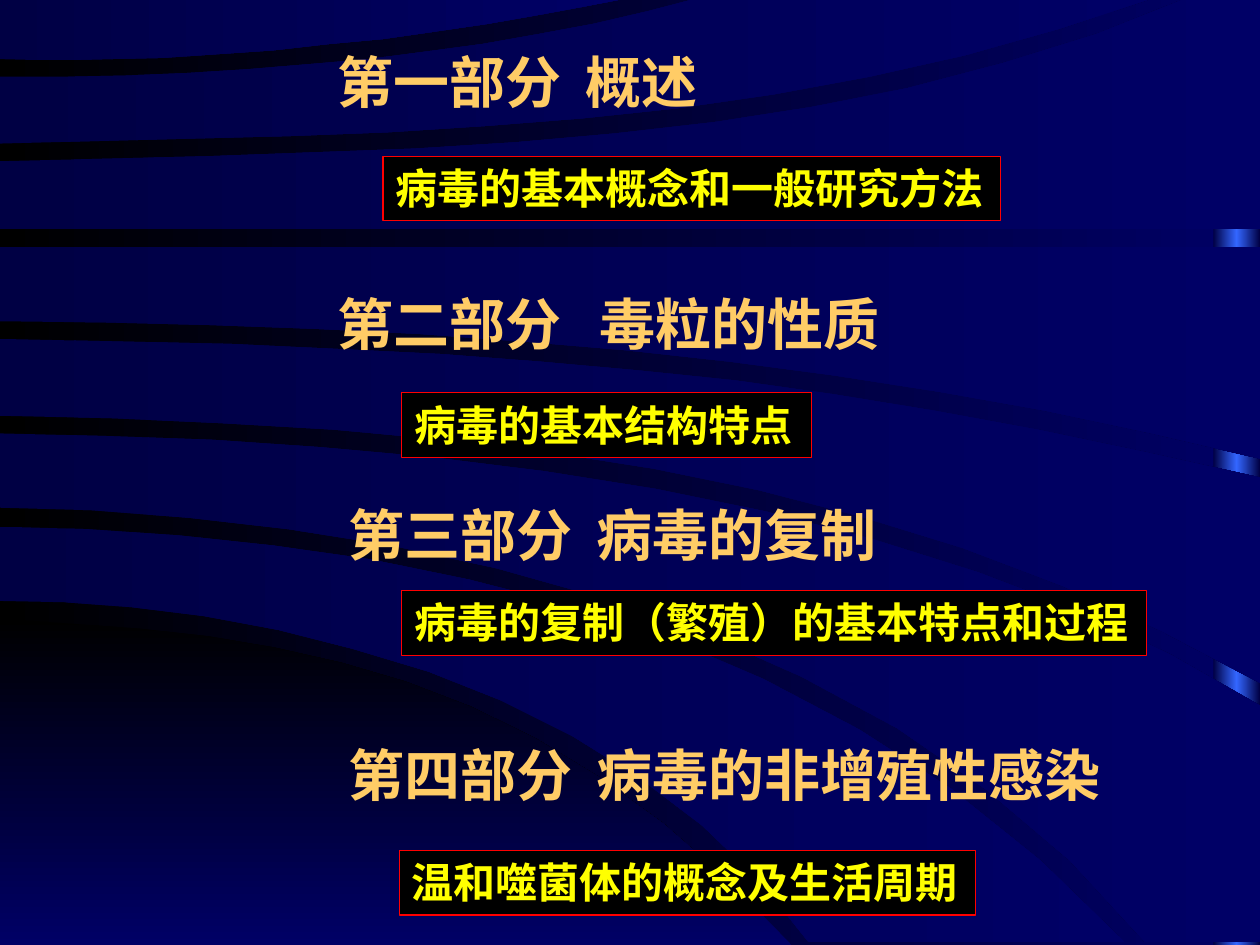
from copy import deepcopy
from math import prod

from lxml import etree
from pptx import Presentation
from pptx import util as u
from pptx.dml.color import RGBColor
from pptx.enum import shapes, text
from pptx.oxml import ns

THEME = {
    "font": "Times New Roman",
    "heading": {"size": u.Pt(32), "color": "FFCC66"},
    "label": {"size": u.Pt(24), "color": "FFFF00"},
    "label_fill": "000000",
    "label_line": "FF0000",
    "background": ["000000", "000066"],
    "band": ["000044", "000066"],
    "edge": ["000044", "3366FF", "000044"],
}

# Each area lies between an upper and a lower curve, both given by a few
# evenly spaced points in hundredths of an inch.
UNIT = u.Cm(2.54) / 100
CURVE_STEPS = 12
HILL = ([(0, 491), (218, 514), (425, 586), (628, 750)],
        [(0, 750), (628, 750)])
BANDS = [
    ([(0, 418), (294, 444), (606, 539), (893, 748)],
     [(0, 477), (221, 500), (454, 584), (642, 748)]),
    ([(0, 344), (343, 363), (693, 428), (1000, 560)],
     [(0, 403), (311, 433), (636, 537), (909, 748)]),
    ([(0, 269), (349, 281), (662, 313), (1000, 379)],
     [(0, 330), (351, 349), (683, 410), (1000, 542)]),
    ([(0, 196), (1000, 196)],
     [(0, 255), (332, 265), (662, 298), (1000, 364)]),
    ([(0, 128), (329, 118), (644, 85), (943, -2)],
     [(0, 182), (1000, 182)]),
    ([(0, 61), (197, 55), (383, 35), (556, -2)],
     [(0, 114), (309, 105), (614, 75), (917, -2)]),
    ([(0, -2), (501, -2)],
     [(0, 47), (173, 43), (346, 25), (501, -2)]),
]

# Text, left, top and width in cm; a tab separates part number and topic.
HEADINGS = [
    ("第一部分\t概述", 6.55, 0.84, 7.95, 5.0),
    ("第二部分\t毒粒的性质", 6.55, 5.72, 11.66, 5.29),
    ("第三部分\t病毒的复制", 6.78, 9.96, 11.38, 5.0),
    ("第四部分\t病毒的非增殖性感染", 6.78, 14.81, 15.95, 5.0),
]
LABELS = [
    ("病毒的基本概念和一般研究方法", 7.72, 3.15, 12.45),
    ("病毒的基本结构特点", 8.1, 7.92, 8.26),
    ("病毒的复制（繁殖）的基本特点和过程", 8.1, 11.91, 15.01),
    ("温和噬菌体的概念及生活周期", 8.05, 17.15, 11.61),
]


def set_gradient(fill, colors, angle=0):
    """Spread the colors evenly; the angle runs counter-clockwise."""
    fill.gradient()
    fill.gradient_angle = angle
    first_stop = fill.gradient_stops[0]._gs
    for _ in colors[2:]:
        first_stop.addnext(deepcopy(first_stop))
    for index, (stop, color) in enumerate(zip(fill.gradient_stops, colors)):
        stop.position = index / (len(colors) - 1)
        stop.color.rgb = RGBColor.from_string(color)


def write_text(shape, content, style, wrap):
    frame_format = {
        "word_wrap": wrap,
        "auto_size": text.MSO_AUTO_SIZE.SHAPE_TO_FIT_TEXT,
        "vertical_anchor": text.MSO_ANCHOR.TOP,
    }
    for name, value in frame_format.items():
        setattr(shape.text_frame, name, value)
    paragraph = shape.text_frame.paragraphs[0]
    paragraph.alignment = text.PP_ALIGN.LEFT
    run = paragraph.add_run()
    run.text = content
    font_format = {"name": THEME["font"], "size": style["size"], "bold": True}
    for name, value in font_format.items():
        setattr(run.font, name, value)
    run.font.color.rgb = RGBColor.from_string(style["color"])
    return paragraph


presentation = Presentation()
presentation.slide_width = u.Cm(25.4)
presentation.slide_height = u.Cm(19.05)
slide = presentation.slides.add_slide(presentation.slide_layouts[6])
set_gradient(slide.background.fill, THEME["background"])

# Backdrop: glowing right edge, dark hill and sweeping bands
edge = slide.shapes.add_shape(
    shapes.MSO_SHAPE.RECTANGLE, u.Cm(24.46), 0, u.Cm(0.94), u.Cm(19.05))
edge.shadow.inherit = False
edge.line.fill.background()
set_gradient(edge.fill, THEME["edge"])

backdrop = [(HILL, THEME["background"], 270)]
backdrop += [(band, THEME["band"], 0) for band in BANDS]
for curves, colors, angle in backdrop:
    sides = []
    for knots in curves:
        # Lagrange interpolation through the knots
        last = len(knots) - 1
        points = []
        for step in range(CURVE_STEPS + 1):
            position = last * step / CURVE_STEPS
            weights = [
                prod((position - j) / (i - j) for j in range(last + 1) if j != i)
                for i in range(last + 1)
            ]
            points.append(tuple(
                sum(weight * value for weight, value in zip(weights, values))
                for values in zip(*knots)))
        sides.append(points)
    upper, lower = sides
    nearer, farther = sorted([upper[-1], lower[-1]])
    corner = (farther[0], nearer[1])
    outline = upper + [corner] + lower[::-1]
    builder = slide.shapes.build_freeform(*outline[0], scale=UNIT)
    builder.add_line_segments(outline[1:], close=True)
    shape = builder.convert_to_shape()
    shape.shadow.inherit = False
    shape.line.fill.background()
    set_gradient(shape.fill, colors, angle)

# Four parts, each a heading with a boxed label below
for heading, label in zip(HEADINGS, LABELS):
    content, left, top, width, tab_stop = heading
    shape = slide.shapes.add_textbox(
        u.Cm(left), u.Cm(top), u.Cm(width), u.Cm(1.63))
    paragraph = write_text(shape, content, THEME["heading"], wrap=False)
    tabs = etree.SubElement(paragraph._p.get_or_add_pPr(), ns.qn("a:tabLst"))
    etree.SubElement(tabs, ns.qn("a:tab"), pos=str(u.Cm(tab_stop)), algn="l")

    content, left, top, width = label
    shape = slide.shapes.add_shape(
        shapes.MSO_SHAPE.RECTANGLE,
        u.Cm(left), u.Cm(top), u.Cm(width), u.Cm(1.3))
    shape.shadow.inherit = False
    shape.fill.solid()
    shape.fill.fore_color.rgb = RGBColor.from_string(THEME["label_fill"])
    shape.line.color.rgb = RGBColor.from_string(THEME["label_line"])
    shape.line.width = u.Pt(0.75)
    write_text(shape, content, THEME["label"], wrap=True)

presentation.save("out.pptx")
